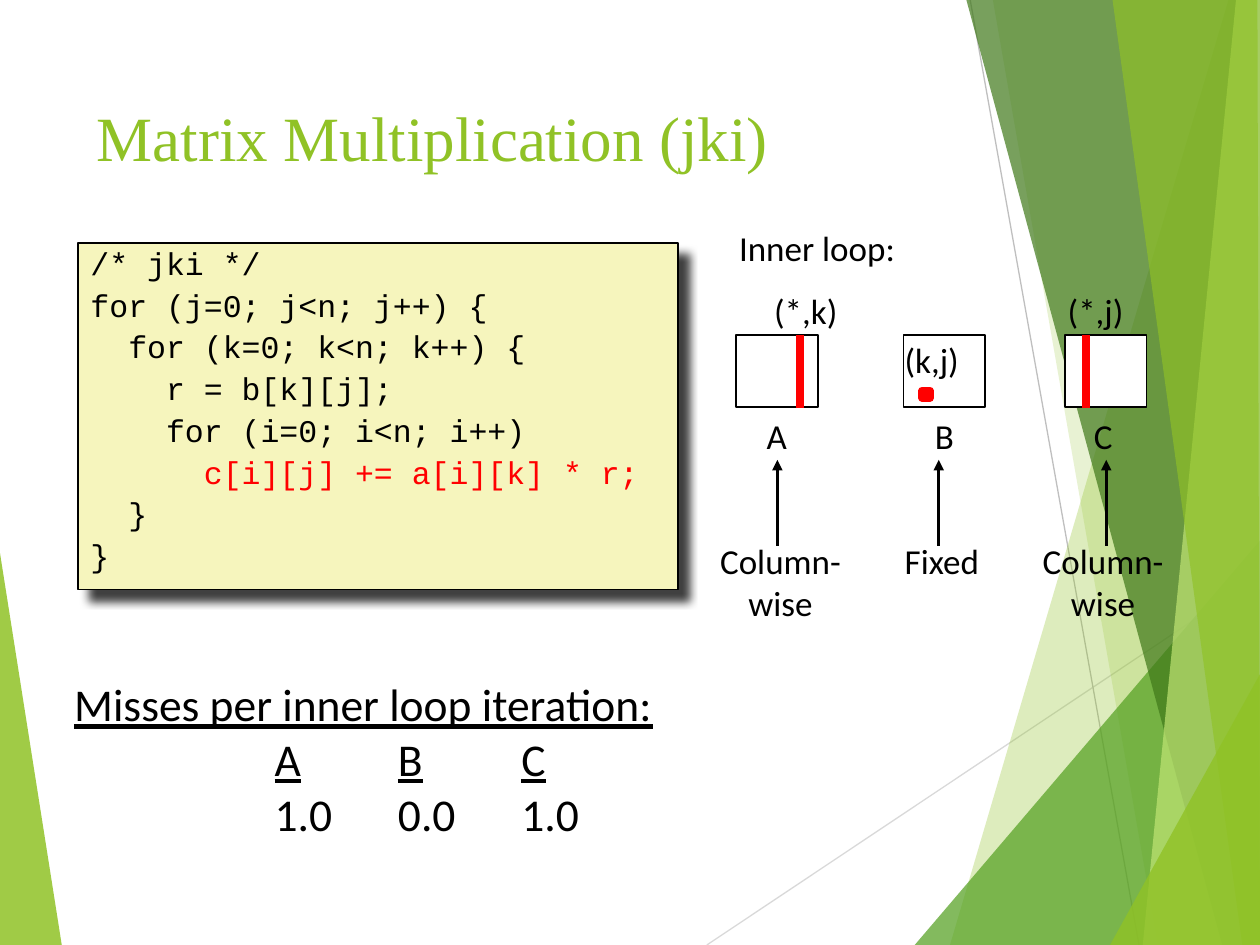
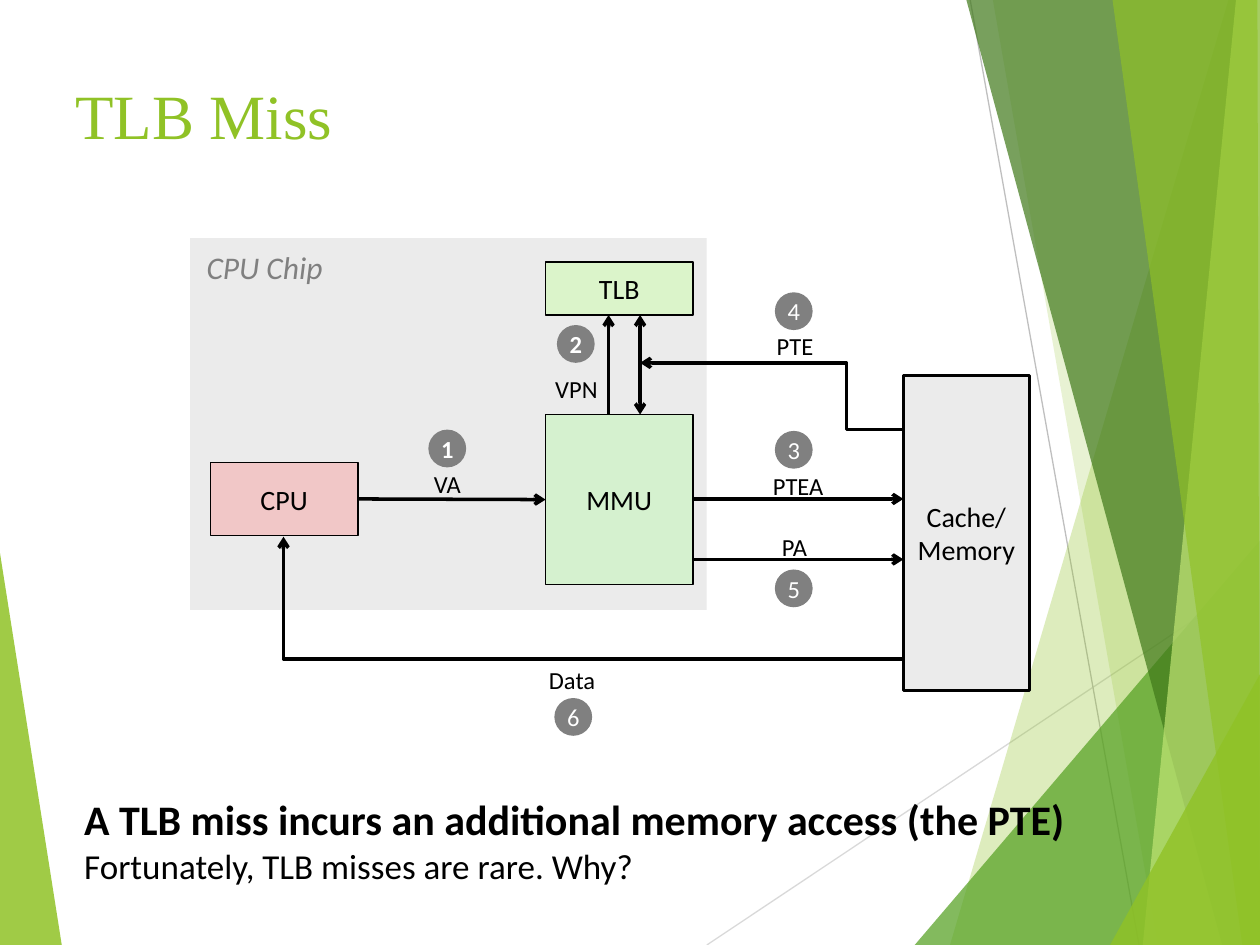
from lxml.etree import SubElement
from pptx import Presentation
from pptx.dml.color import RGBColor
from pptx.enum.shapes import MSO_CONNECTOR, MSO_SHAPE
from pptx.enum.text import MSO_ANCHOR, PP_ALIGN
from pptx.oxml.ns import qn
from pptx.util import Inches, Pt

COLORS = {
    "lime": "90C226", "leaf": "54A021", "forest": "3F7819", "pale": "C0E474",
    "ash": "BFBFBF", "mist": "D9D9D9", "chip": "EBEBEB", "gray": "808080",
    "cream": "F6F5BD", "mint": "D5F1CF", "tlb": "DBF4CA", "pink": "F1C7C7",
    "red": "FF0000", "black": "000000", "white": "FFFFFF",
}
BODY, MONO, SERIF = "Calibri", "Courier New", "Times New Roman"

# Facets behind each slide: colour, opacity in percent, corner points
LEFT = ("lime", 85, [(0, 4.39), (0.49, 7.5), (0, 7.5)])
FACETS = [
    ("lime", 30, [(9.75, 0), (7.54, 7.5), (10, 7.5), (10, 0)]),
    ("lime", 20, [(7.88, 0), (9.19, 7.5), (10, 7.5), (10, 0)]),
    ("leaf", 72, [(7.26, 7.5), (10, 4.29), (10, 7.5)]),
    ("forest", 70, [(7.67, 0), (9.7, 7.5), (10, 7.5), (10, 0)]),
    ("pale", 70, [(9.81, 0), (9.07, 7.5), (10, 7.5), (10, 0)]),
    ("lime", 65, [(8.83, 0), (9.86, 7.5), (10, 7.5), (9.98, 0)]),
    ("lime", 80, [(8.81, 7.5), (10, 5.35), (10, 7.5)]),
]

CODE = [
    "/* jki */",
    "for (j=0; j<n; j++) {",
    "  for (k=0; k<n; k++) {",
    "    r = b[k][j];",
    "    for (i=0; i<n; i++)",
    "      c[i][j] += a[i][k] * r;",
    "  }",
    "}",
]


def rgb(name):
    return RGBColor.from_string(COLORS[name])


def style(para, size, color="black", font=BODY, bold=False, italic=False):
    for run in para.runs:
        face = run.font
        face.size, face.name = Pt(size), font
        face.bold, face.italic = bold, italic
        face.color.rgb = rgb(color)


def fill_text(shape, text, size, align=PP_ALIGN.CENTER, wrap=False, **look):
    frame = shape.text_frame
    frame.word_wrap = wrap
    frame.text = text
    for para in frame.paragraphs:
        para.alignment = align
        style(para, size, **look)
    return frame


def label(slide, text, at, size, **look):
    box = slide.shapes.add_textbox(*map(Inches, at))
    return fill_text(box, text, size, **look)


def block(slide, at, fill, line="black", width=1, kind=MSO_SHAPE.RECTANGLE):
    shape = slide.shapes.add_shape(kind, *map(Inches, at))
    shape.shadow.inherit = False
    shape.fill.solid()
    shape.fill.fore_color.rgb = rgb(fill)
    if line:
        shape.line.color.rgb = rgb(line)
        shape.line.width = Pt(width)
    else:
        shape.line.fill.background()
    return shape


def node(slide, text, at, fill, width=1):
    shape = block(slide, at, fill, width=width)
    fill_text(shape, text, 16).vertical_anchor = MSO_ANCHOR.MIDDLE
    return shape


def badge(slide, num, left, top):
    """Numbered step; the first two steps are bold."""
    shape = block(slide, (left, top, 0.3, 0.3), "gray", None, kind=MSO_SHAPE.OVAL)
    frame = fill_text(shape, str(num), 14, color="white", bold=num < 3)
    frame.vertical_anchor = MSO_ANCHOR.MIDDLE


def wire(slide, start, end, color="black", width=2, head=None, tail=None,
         kind=MSO_CONNECTOR.STRAIGHT):
    line = slide.shapes.add_connector(kind, *map(Inches, start + end))
    line.line.color.rgb = rgb(color)
    line.line.width = Pt(width)
    props = line.element.spPr
    for tag, tip in (("a:headEnd", head), ("a:tailEnd", tail)):
        if tip:
            SubElement(props.find(qn("a:ln")), qn(tag), type=tip)
    SubElement(props, qn("a:effectLst"))
    return line


def elbow(slide, low, high, preset, bend=None):
    """Bent arrow from the lower right corner to the upper left one."""
    line = wire(slide, high, low, tail="arrow", kind=MSO_CONNECTOR.ELBOW)
    props = line.element.spPr
    props.find(qn("a:xfrm")).set("rot", "10800000")
    geom = props.find(qn("a:prstGeom"))
    geom.set("prst", preset)
    if bend:
        guides = geom.find(qn("a:avLst"))
        if guides is None:
            guides = SubElement(geom, qn("a:avLst"))
        SubElement(guides, qn("a:gd"), name="adj1", fmla=f"val {bend}")


def facet(slide, color, alpha, points):
    first, *rest = [tuple(map(Inches, point)) for point in points]
    draft = slide.shapes.build_freeform(*first, scale=1.0)
    draft.add_line_segments(rest, close=True)
    shape = draft.convert_to_shape()
    shape.shadow.inherit = False
    shape.fill.solid()
    shape.fill.fore_color.rgb = rgb(color)
    tint = shape.element.spPr.find(qn("a:solidFill"))[0]
    SubElement(tint, qn("a:alpha"), val=str(alpha * 1000))
    shape.line.fill.background()


def new_slide(deck, title, at):
    slide = deck.slides.add_slide(deck.slide_layouts[6])
    facet(slide, *LEFT)
    wire(slide, (5.61, 7.5), (10, 4.57), "mist", 0.75)
    wire(slide, (7.7, 0), (9.04, 7.5), "ash", 0.75)
    for item in FACETS:
        facet(slide, *item)
    frame = label(slide, title, at, 36, align=PP_ALIGN.LEFT, wrap=True,
                  color="lime", font=SERIF)
    frame.vertical_anchor = MSO_ANCHOR.MIDDLE
    return slide


def code_box(slide, at):
    shape = block(slide, at, "cream")
    glow = SubElement(
        shape.element.spPr.find(qn("a:effectLst")), qn("a:outerShdw"),
        blurRad=str(Pt(5)), dist=str(Pt(8.5)), dir="2700000", algn="tl")
    tint = SubElement(glow, qn("a:srgbClr"), val=COLORS["black"])
    SubElement(tint, qn("a:alpha"), val="75000")
    frame = fill_text(shape, "\n".join(CODE), 18, PP_ALIGN.LEFT, True, font=MONO)
    frame.vertical_anchor = MSO_ANCHOR.TOP
    frame.margin_top = Inches(0.1)
    for row, para in enumerate(frame.paragraphs):
        para.line_spacing = 0.65
        if row:
            para.space_before = Pt(9.8)
        if "+=" in para.text:
            style(para, 18, "red", MONO)


def misses(slide, at):
    """Heading with two tabbed rows: matrix names and miss rates."""
    frame = label(slide, "Misses per inner loop iteration:", at, 26,
                  align=PP_ALIGN.LEFT, wrap=True)
    frame.paragraphs[0].runs[0].font.underline = True
    for cells, under in (("A", "B", "C"), True), (("1.0", "0.0", "1.0"), False):
        para = frame.add_paragraph()
        stops = SubElement(para._p.get_or_add_pPr(), qn("a:tabLst"))
        for col, cell in enumerate(cells):
            stop = Inches(1.59 + 0.98 * col)
            SubElement(stops, qn("a:tab"), pos=str(stop), algn="l")
            para.add_run().text = "\t"
            run = para.add_run()
            run.text = cell
            run.font.underline = under
        style(para, 26)


def matrix_slide(deck):
    slide = new_slide(deck, "Matrix Multiplication (jki)", (0.67, 0.67, 6.94, 0.82))
    code_box(slide, (0.62, 1.93, 4.76, 2.75))
    for left in (5.84, 7.17, 8.45):
        block(slide, (left, 2.66, 0.65, 0.57), "white")
    block(slide, (7.32, 3.1, 0.06, 0.06), "red", "red", 4.5)
    for x in (6.35, 8.62):
        wire(slide, (x, 3.24), (x, 2.66), "red", 4.5)
    for text, left, top, width in (
        ("Inner loop:", 5.76, 1.75, 1.45),
        ("(*,k)", 6.04, 2.25, 0.71), ("(k,j)", 7.08, 2.64, 0.63),
        ("(*,j)", 8.37, 2.25, 0.65),
        ("A", 5.98, 3.24, 0.37), ("B", 7.32, 3.24, 0.35), ("C", 8.58, 3.24, 0.35),
        ("Fixed", 7.08, 4.23, 0.79),
    ):
        label(slide, text, (left, top, width, 0.43), 20)
    for left in (5.61, 8.17):
        label(slide, "Column-\nwise", (left, 4.23, 1.17, 0.77), 20)
    for x in (6.17, 7.45, 8.78):
        wire(slide, (x, 4.33), (x, 3.65), tail="triangle")
    misses(slide, (0.49, 5.32, 6.01, 1.34))


def tlb_slide(deck):
    slide = new_slide(deck, "TLB Miss", (0.5, 0.48, 9.5, 0.86))
    block(slide, (1.51, 1.89, 4.1, 2.95), "chip", None)
    label(slide, "CPU Chip", (1.52, 1.92, 1.16, 0.4), 18, color="gray", italic=True)
    mmu = node(slide, "MMU", (4.33, 3.29, 1.17, 1.35), "mint")
    cpu = node(slide, "CPU", (1.67, 3.67, 1.17, 0.58), "pink")
    node(slide, "TLB", (4.33, 2.08, 1.17, 0.42), "tlb")
    node(slide, "Cache/\nMemory", (7.17, 2.98, 1, 2.5), "chip", 1.5)

    fetch = wire(slide, (2.84, 3.96), (4.33, 3.96), tail="arrow")
    fetch.begin_connect(cpu, 3)
    fetch.end_connect(mmu, 1)
    for y in (3.96, 4.44):
        wire(slide, (5.5, y), (7.17, y), tail="arrow")
    wire(slide, (4.83, 3.29), (4.83, 2.5), tail="arrow")
    wire(slide, (5.08, 2.5), (5.08, 3.29), head="arrow", tail="arrow")
    elbow(slide, (7.17, 5.23), (2.25, 4.26), "bentConnector2")
    elbow(slide, (7.17, 3.41), (5.08, 2.88), "bentConnector3", 21600)

    for text, left, top, width in (
        ("VA", 3.34, 3.67, 0.42), ("VPN", 4.3, 2.92, 0.55),
        ("PTEA", 6.03, 3.69, 0.61), ("PTE", 6.06, 2.58, 0.5),
        ("PA", 6.1, 4.17, 0.41), ("Data", 4.25, 5.23, 0.58),
    ):
        label(slide, text, (left, top, width, 0.33), 14)
    spots = [(3.4, 3.41), (4.42, 2.58), (6.15, 3.42),
             (6.15, 2.32), (6.15, 4.52), (4.4, 5.54)]
    for num, spot in enumerate(spots, 1):
        badge(slide, num, *spot)

    note = "A TLB miss incurs an additional memory access (the PTE)\n" \
           "Fortunately, TLB misses are rare. Why?"
    frame = label(slide, note, (0.57, 6.25, 8.43, 1), 20,
                  align=PP_ALIGN.LEFT, wrap=True)
    style(frame.paragraphs[0], 24, bold=True)


def main():
    deck = Presentation()
    deck.slide_width, deck.slide_height = Inches(10), Inches(7.5)
    matrix_slide(deck)
    tlb_slide(deck)
    deck.save("out.pptx")


if __name__ == "__main__":
    main()
